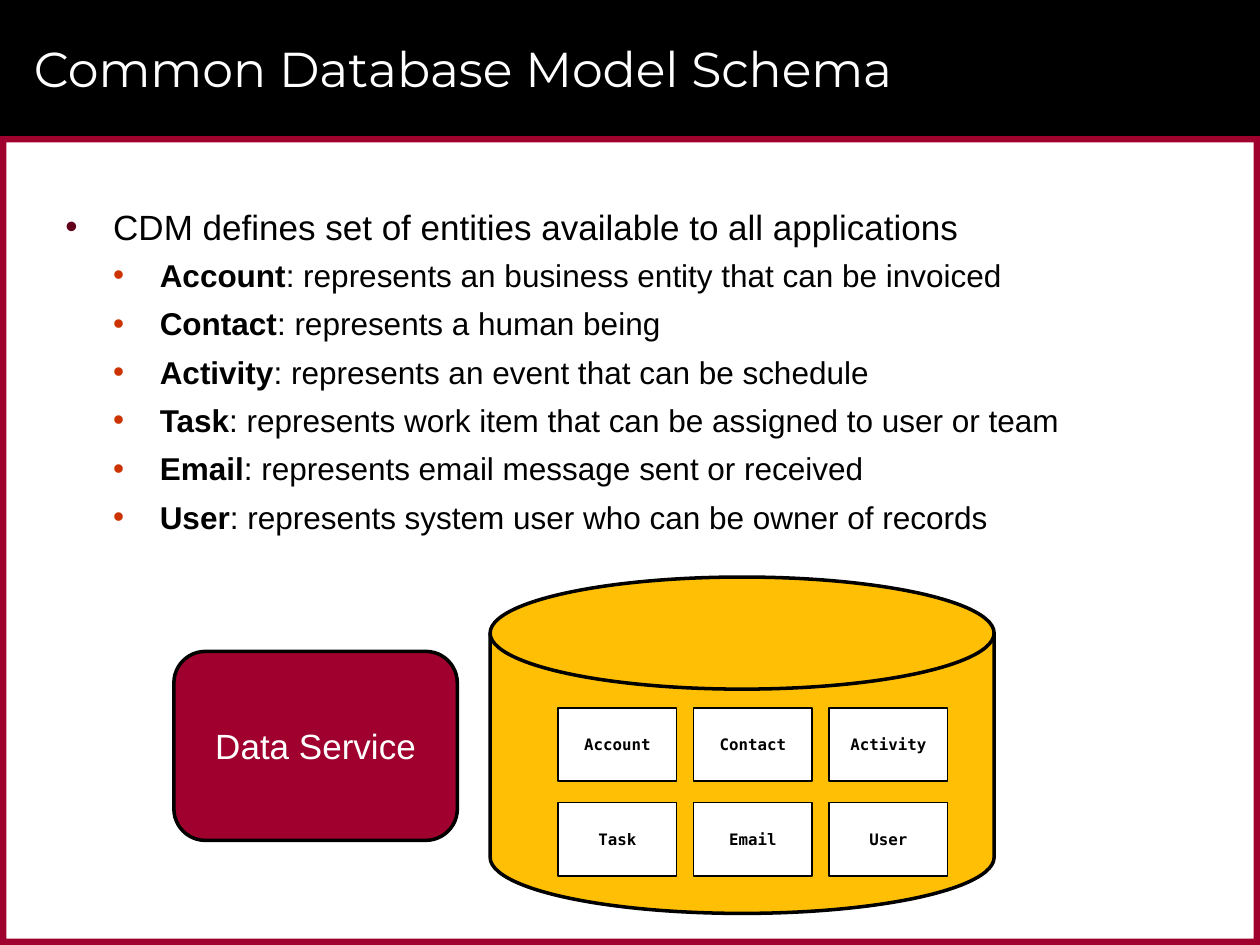
from lxml import etree
from pptx import Presentation
from pptx.dml.color import RGBColor
from pptx.enum.shapes import MSO_SHAPE
from pptx.enum.text import MSO_ANCHOR, PP_ALIGN
from pptx.oxml.ns import qn
from pptx.util import Inches, Pt

RECTANGLE = MSO_SHAPE.RECTANGLE
ROUNDED = MSO_SHAPE.ROUNDED_RECTANGLE
DISK = MSO_SHAPE.FLOWCHART_MAGNETIC_DISK
MIDDLE = MSO_ANCHOR.MIDDLE
CENTER = PP_ALIGN.CENTER

BLACK = RGBColor(0x00, 0x00, 0x00)
WHITE = RGBColor(0xFF, 0xFF, 0xFF)
CRIMSON = RGBColor(0x9F, 0x00, 0x2D)
AMBER = RGBColor(0xFF, 0xBF, 0x05)

WIDTH, HEIGHT = 10, 7.5
HEADER_HEIGHT = 1.08
BORDER = 0.05

TITLE = "Common Database Model Schema"
INTRO = "CDM defines set of entities available to all applications"
ENTITIES = [
    ("Account", "represents an business entity that can be invoiced"),
    ("Contact", "represents a human being"),
    ("Activity", "represents an event that can be schedule"),
    ("Task", "represents work item that can be assigned to user or team"),
    ("Email", "represents email message sent or received"),
    ("User", "represents system user who can be owner of records"),
]
SERVICE = "Data Service"

TITLE_FONT = {"name": "Montserrat", "size": Pt(28)}
INTRO_FONT = {"name": "Arial", "size": Pt(20)}
ENTITY_FONT = {"name": "Arial", "size": Pt(18)}
BOX_FONT = {"name": "DejaVu Sans Mono", "size": Pt(9), "bold": True}

INTRO_LEVEL = {"indent": 0.38, "hanging": 0.38, "before": 6, "after": 2, "bullet": "60001B"}
ENTITY_LEVEL = {"indent": 0.75, "hanging": 0.37, "before": 3, "after": 3, "bullet": "CC3300"}

BOX_COLUMNS = 3
BOX_LEFT, BOX_LAST_LEFT, BOX_TOP = 4.43, 6.58, 5.62
BOX_WIDTH, BOX_HEIGHT = 0.94, 0.58
BOX_STEP_X = (BOX_LAST_LEFT - BOX_LEFT) / (BOX_COLUMNS - 1)
BOX_STEP_Y = 0.75


def add_run(paragraph, text, font, color, **extra):
    run = paragraph.add_run()
    run.text = text
    for name, value in {**font, **extra}.items():
        setattr(run.font, name, value)
    run.font.color.rgb = color


def add_block(slide, kind, position, fill, line_width=0):
    shape = slide.shapes.add_shape(kind, *map(Inches, position))
    shape.shadow.inherit = False
    shape.fill.solid()
    shape.fill.fore_color.rgb = fill
    if line_width:
        shape.line.color.rgb = BLACK
        shape.line.width = Pt(line_width)
    else:
        shape.line.fill.background()
    return shape


def add_label(shape, text, font, color):
    frame = shape.text_frame
    frame.vertical_anchor = MIDDLE
    frame.paragraphs[0].alignment = CENTER
    add_run(frame.paragraphs[0], text, font, color)


def add_text_frame(slide, position):
    frame = slide.shapes.add_textbox(*map(Inches, position)).text_frame
    frame.word_wrap = True
    return frame


def format_bullet(paragraph, level):
    paragraph.space_before = Pt(level["before"])
    paragraph.space_after = Pt(level["after"])
    properties = paragraph._p.get_or_add_pPr()
    properties.set("marL", str(Inches(level["indent"])))
    properties.set("indent", str(-Inches(level["hanging"])))
    color = etree.SubElement(properties, qn("a:buClr"))
    etree.SubElement(color, qn("a:srgbClr"), val=level["bullet"])
    etree.SubElement(properties, qn("a:buFont"), typeface="Arial")
    etree.SubElement(properties, qn("a:buChar"), char="•")


def add_frame(slide):
    side_height = HEIGHT - HEADER_HEIGHT
    add_block(slide, RECTANGLE, (0, 0, WIDTH, HEADER_HEIGHT), BLACK)
    for position in [
        (0, HEADER_HEIGHT, WIDTH, BORDER),
        (0, HEIGHT - BORDER, WIDTH, BORDER),
        (WIDTH - BORDER, HEADER_HEIGHT, BORDER, side_height),
        (0, HEADER_HEIGHT, BORDER, side_height),
    ]:
        add_block(slide, RECTANGLE, position, CRIMSON)


def add_texts(slide):
    title = add_text_frame(slide, (0.17, 0.08, 9.42, 0.92))
    title.vertical_anchor = MIDDLE
    add_run(title.paragraphs[0], TITLE, TITLE_FONT, WHITE)

    body = add_text_frame(slide, (0.42, 1.58, 9.17, 5.67))
    intro = body.paragraphs[0]
    format_bullet(intro, INTRO_LEVEL)
    add_run(intro, INTRO, INTRO_FONT, BLACK)
    for name, meaning in ENTITIES:
        paragraph = body.add_paragraph()
        paragraph.level = 1
        format_bullet(paragraph, ENTITY_LEVEL)
        add_run(paragraph, name, ENTITY_FONT, BLACK, bold=True)
        add_run(paragraph, f": {meaning}", ENTITY_FONT, BLACK)


def add_diagram(slide):
    service = add_block(slide, ROUNDED, (1.38, 5.17, 2.25, 1.5), CRIMSON, 2)
    add_label(service, SERVICE, INTRO_FONT, WHITE)
    add_block(slide, DISK, (3.89, 4.58, 4, 2.67), AMBER, 2)
    for index, (name, _) in enumerate(ENTITIES):
        row, column = divmod(index, BOX_COLUMNS)
        left = BOX_LEFT + column * BOX_STEP_X
        top = BOX_TOP + row * BOX_STEP_Y
        box = add_block(slide, RECTANGLE, (left, top, BOX_WIDTH, BOX_HEIGHT), WHITE, 1)
        for side in ("left", "top", "right", "bottom"):
            setattr(box.text_frame, f"margin_{side}", 0)
        add_label(box, name, BOX_FONT, BLACK)


def main():
    presentation = Presentation()
    presentation.slide_width = Inches(WIDTH)
    presentation.slide_height = Inches(HEIGHT)
    slide = presentation.slides.add_slide(presentation.slide_layouts[6])
    add_frame(slide)
    add_texts(slide)
    add_diagram(slide)
    presentation.save("out.pptx")


if __name__ == "__main__":
    main()
